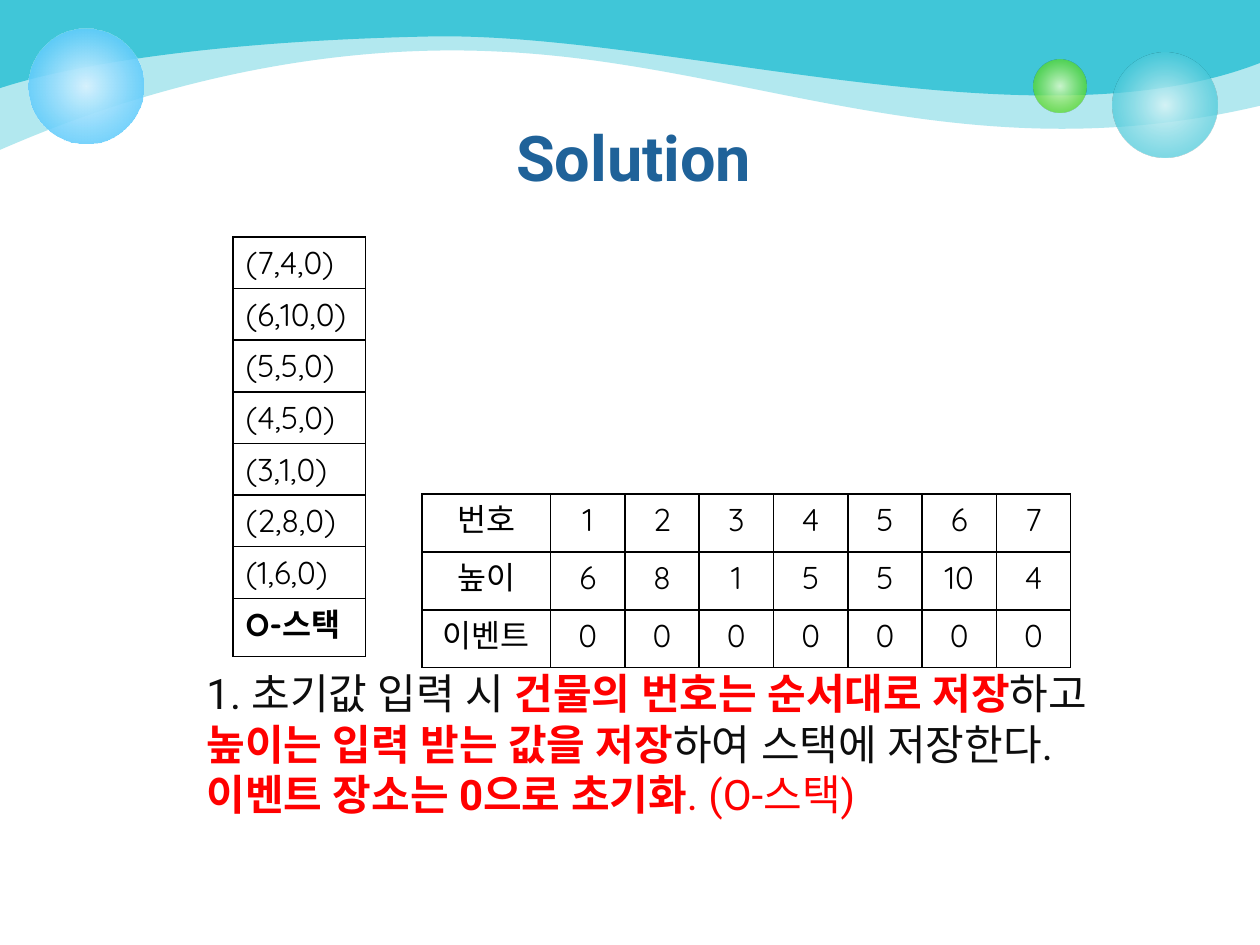
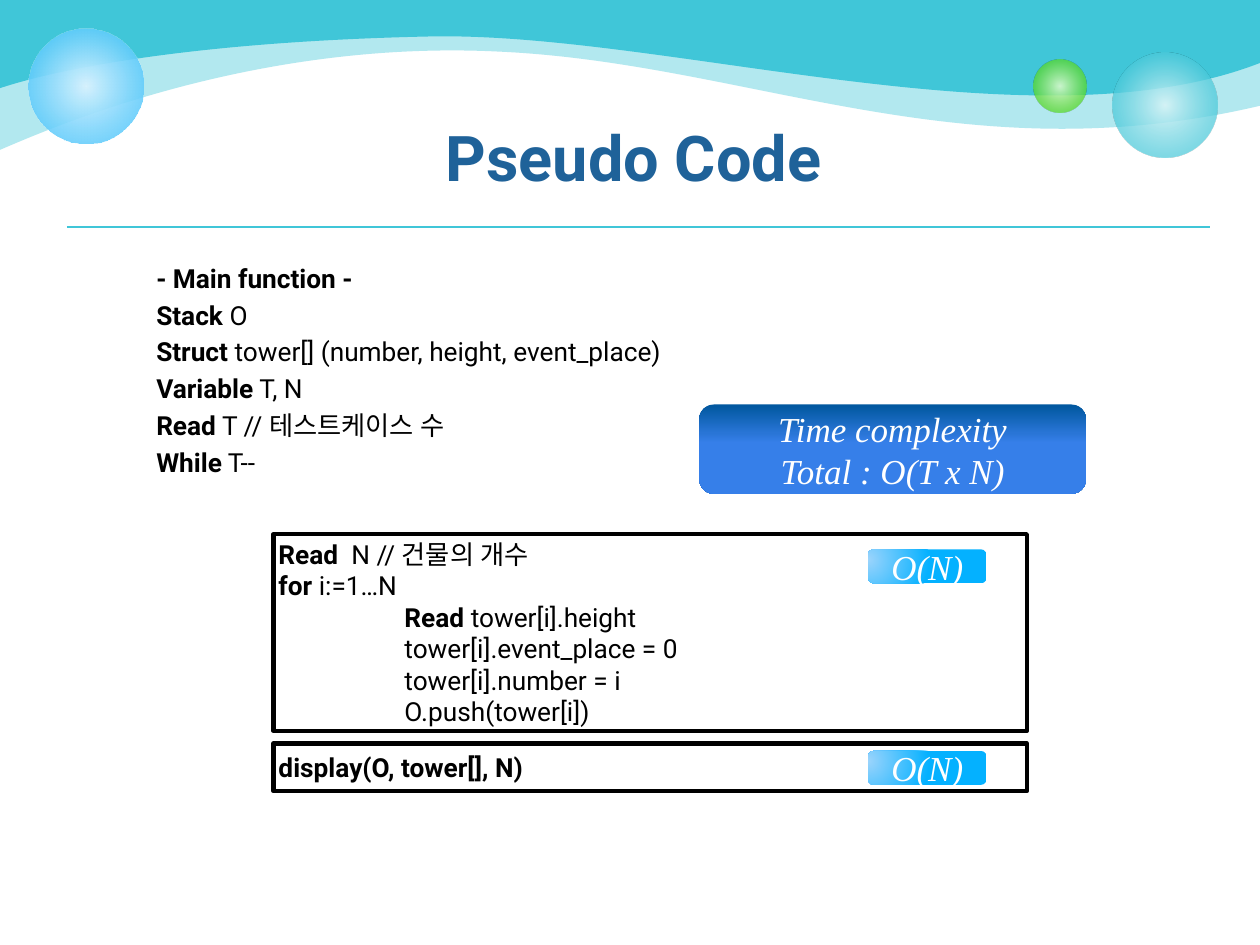
from lxml import etree
from pptx import Presentation
from pptx.dml.color import RGBColor
from pptx.enum.shapes import MSO_CONNECTOR, MSO_SHAPE
from pptx.enum.text import MSO_ANCHOR, PP_ALIGN
from pptx.oxml.ns import qn
from pptx.util import Inches, Pt

OVAL, RECT, ROUNDED = MSO_SHAPE.OVAL, MSO_SHAPE.RECTANGLE, MSO_SHAPE.ROUNDED_RECTANGLE
STRAIGHT = MSO_CONNECTOR.STRAIGHT
LEFT, CENTER = PP_ALIGN.LEFT, PP_ALIGN.CENTER
TOP, MIDDLE = MSO_ANCHOR.TOP, MSO_ANCHOR.MIDDLE

TEAL, TITLE_BLUE = "40C6D8", "1F6299"
BLACK, INK, RED, WHITE = "000000", "0D0D0D", "FF0000", "FFFFFF"
SANS, ROUND, SERIF = "Roboto", "Quicksand", "Times New Roman"

BACK_WAVE = [(0, 1.19), (0.33, 1.05), (1.97, 0.31), (3.96, 0.41),
             (5.95, 0.5), (7.62, 1.4), (10, 0.84)]
FRONT_WAVE = [(0, 0.7), (0.45, 0.55), (1.53, 0.33), (3.41, 0.29),
              (5.29, 0.25), (8.2, 1.2), (10, 0.5)]
BUBBLES = [
    (8.83, 0.42, 0.83, [(0, "D9F4F7", 90), (76, TEAL, 70)]),
    (8.2, 0.47, 0.42, [(0, "DAFACD", 90), (76, "4CD416", 70)]),
    (0.23, 0.23, 0.91, [(0, "D6F2FE", 100), (100, "33BDFB", 80)]),
]
BUTTON_STOPS = [(0, "00579E", 100), (43, "367FE9", 100), (100, "367FE9", 100)]
BADGE_STOPS = [(0, "9BD4FC", 100), (100, "04B1FF", 100)]

HEIGHTS = [6, 8, 1, 5, 5, 10, 4]
NUMBERS = range(1, len(HEIGHTS) + 1)


def rgb(value):
    return RGBColor.from_string(value)


def inches(box):
    return [Inches(length) for length in box]


def child(parent, tag, **attributes):
    node = etree.SubElement(parent, qn(tag))
    for key, value in attributes.items():
        node.set(key, str(value))
    return node


def add_color(parent, color, opacity):
    node = child(parent, "a:srgbClr", val=color)
    if opacity < 100:
        child(node, "a:alpha", val=opacity * 1000)


def set_font(paragraph, name, size, color, bold=False, italic=False):
    font = paragraph.font
    font.name, font.size = name, Pt(size)
    font.bold, font.italic = bold, italic
    font.color.rgb = rgb(color)
    child(paragraph._p.pPr.find(qn("a:defRPr")), "a:ea", typeface=name)


def set_gradient(shape, stops, focus=None):
    shape.fill.background()
    properties = shape.element.spPr
    empty_fill = properties.find(qn("a:noFill"))
    gradient = etree.Element(qn("a:gradFill"), rotWithShape="1")
    stop_list = child(gradient, "a:gsLst")
    for position, color, opacity in stops:
        add_color(child(stop_list, "a:gs", pos=position * 1000), color, opacity)
    if focus:
        circle = child(gradient, "a:path", path="circle")
        edges = {side: share * 1000 for side, share in zip("ltrb", focus)}
        child(circle, "a:fillToRect", **edges)
    else:
        child(gradient, "a:lin", ang=90 * 60000, scaled=0)
    properties.replace(empty_fill, gradient)


def add_plain_shape(slide, kind, box):
    shape = slide.shapes.add_shape(kind, *inches(box))
    shape.shadow.inherit = False
    shape.line.fill.background()
    return shape


def curve_segments(shape, count):
    segments = list(shape.element.spPr.iter(qn("a:lnTo")))[:3 * count]
    for start in range(0, len(segments), 3):
        trio = segments[start:start + 3]
        curve = etree.Element(qn("a:cubicBezTo"))
        trio[0].addprevious(curve)
        for segment in trio:
            curve.append(segment[0])
            segment.getparent().remove(segment)


def add_wave(slide, curve, opacity):
    builder = slide.shapes.build_freeform(0, 0)
    builder.add_line_segments([inches(point) for point in [*curve[::-1], (0, 0)]][:0] or
                              [inches(point) for point in [*curve, (10, 0)]])
    wave = builder.convert_to_shape()
    first_edge = next(wave.element.spPr.iter(qn("a:lnTo")))
    first_edge.tag = qn("a:moveTo")
    origin = first_edge.getprevious()
    origin.tag = qn("a:lnTo")
    wave.element.spPr.find(".//" + qn("a:close")).addprevious(origin)
    curve_segments(wave, len(curve) // 3)
    wave.shadow.inherit = False
    wave.line.fill.background()
    wave.fill.solid()
    wave.fill.fore_color.rgb = rgb(TEAL)
    if opacity < 100:
        color = wave.element.spPr.find(qn("a:solidFill"))[0]
        child(color, "a:alpha", val=opacity * 1000)
    return wave


def add_bubble(slide, left, top, size, stops):
    bubble = add_plain_shape(slide, OVAL, (left, top, size, size))
    set_gradient(bubble, stops, (50, 50, 50, 50))
    return bubble


def decorate_master(master, slide):
    decorations = [add_wave(slide, BACK_WAVE, 40), add_wave(slide, FRONT_WAVE, 100)]
    decorations += [add_bubble(slide, *bubble) for bubble in BUBBLES]
    tree = master.element.cSld.spTree
    for order, shape in enumerate(decorations):
        shape.element.nvSpPr.cNvPr.set("id", str(100 + order))
        tree.insert(2 + order, shape.element)


def set_title(slide, text, height):
    title = slide.shapes.title
    title.left, title.top, title.width, title.height = inches((0.53, 0.89, 9, height))
    title.text_frame.text = text
    title.text_frame.vertical_anchor = TOP
    paragraph = title.text_frame.paragraphs[0]
    paragraph.alignment = CENTER
    set_font(paragraph, SANS, 36, TITLE_BLUE, bold=True)


def add_lines(frame, lines, gap=0):
    for index, (keyword, rest, indent) in enumerate(lines):
        paragraph = frame.paragraphs[0] if index == 0 else frame.add_paragraph()
        paragraph.alignment = LEFT
        paragraph.space_before = Pt(gap if index else 0)
        properties = paragraph._p.get_or_add_pPr()
        properties.set("marL", str(Inches(indent)))
        properties.set("indent", "0")
        child(properties, "a:buNone")
        set_font(paragraph, SANS, 15, BLACK)
        for text, bold in ((keyword, True), (rest, False)):
            if text:
                run = paragraph.add_run()
                run.text, run.font.bold = text, bold


def set_cell(cell, text, alignment, bold):
    cell.fill.background()
    cell.text = text
    paragraph = cell.text_frame.paragraphs[0]
    paragraph.alignment = alignment
    set_font(paragraph, ROUND, 18, BLACK, bold=bold)
    properties = cell._tc.get_or_add_tcPr()
    for order, side in enumerate(("a:lnL", "a:lnR", "a:lnT", "a:lnB")):
        border = etree.Element(qn(side), w=str(Pt(1)))
        add_color(child(border, "a:solidFill"), BLACK, 100)
        properties.insert(order, border)


def add_grid(slide, left, top, rows, widths, row_heights, alignment, bold_last=False):
    box = inches((left, top, sum(widths), sum(row_heights)))
    table = slide.shapes.add_table(len(rows), len(widths), *box).table
    table.first_row = table.horz_banding = False
    for column, width in zip(table.columns, widths):
        column.width = Inches(width)
    for row_index, (values, row_height) in enumerate(zip(rows, row_heights)):
        table.rows[row_index].height = Inches(row_height)
        bold = bold_last and row_index == len(rows) - 1
        for column_index, value in enumerate(values):
            set_cell(table.cell(row_index, column_index), str(value), alignment, bold)


def add_explanation(slide, box):
    frame = slide.shapes.add_textbox(*inches(box)).text_frame
    frame.word_wrap = True
    paragraph = frame.paragraphs[0]
    set_font(paragraph, SANS, 24, INK)
    for text, color, bold in [
        ("1. 초기값 입력 시 ", INK, False),
        ("건물의 번호는 순서대로 저장", RED, True),
        ("하고 ", INK, False),
        ("높이는 입력 받는 값을 저장", RED, True),
        ("하여 스택에 저장한다. ", INK, False),
        ("이벤트 장소는 0으로 초기화", RED, True),
        (". (O-스택)", RED, False),
    ]:
        run = paragraph.add_run()
        run.text, run.font.bold = text, bold
        run.font.color.rgb = rgb(color)


def add_code_frame(slide, box, lines):
    code = add_plain_shape(slide, RECT, box)
    code.fill.background()
    code.line.color.rgb = rgb(BLACK)
    code.line.width = Pt(2.5)
    frame = code.text_frame
    frame.word_wrap = True
    frame.vertical_anchor = MIDDLE
    frame.margin_left = frame.margin_right = Inches(0.04)
    frame.margin_top = frame.margin_bottom = Inches(0.04)
    add_lines(frame, lines)


def add_complexity(slide, box, text, stops, focus=None):
    label = add_plain_shape(slide, ROUNDED, box)
    set_gradient(label, stops, focus)
    frame = label.text_frame
    frame.word_wrap = True
    frame.vertical_anchor = MIDDLE
    frame.text = text
    for paragraph in frame.paragraphs:
        paragraph.alignment = CENTER
        set_font(paragraph, SERIF, 20, WHITE, italic=True)


def add_badge(slide, left, top):
    add_complexity(slide, (left, top, 0.94, 0.27), "O(N)", BADGE_STOPS, (0, 30, 100, 70))


def add_rule(slide, left, right, top):
    rule = slide.shapes.add_connector(STRAIGHT, *inches((left, top, right, top)))
    rule.line.color.rgb = rgb(TEAL)
    rule.line.width = Pt(0.9)
    child(rule.element.spPr, "a:effectLst")


def build_solution(slide):
    set_title(slide, "Solution", 0.79)
    add_explanation(slide, (1.54, 5.25, 7.78, 1.39))
    stack = [[f"({number},{height},0)"] for number, height in zip(NUMBERS, HEIGHTS)]
    add_grid(slide, 1.85, 1.88, stack[::-1] + [["O-스택"]], [1.05],
             [0.41] * len(stack) + [0.46], LEFT, True)
    buildings = [["번호", *NUMBERS], ["높이", *HEIGHTS], ["이벤트", *[0] * len(HEIGHTS)]]
    add_grid(slide, 3.35, 3.92, buildings, [1.02] + [0.59] * len(HEIGHTS),
             [0.46] * len(buildings), CENTER)


def build_pseudo_code(slide):
    set_title(slide, "Pseudo Code", 0.91)
    add_rule(slide, 0.53, 9.6, 1.8)
    declarations = slide.placeholders[1]
    declarations.left, declarations.top, declarations.width, declarations.height = inches(
        (1.14, 2.03, 7.72, 5.2))
    add_lines(declarations.text_frame, [
        ("- Main function -", "", 0),
        ("Stack", " O", 0),
        ("Struct", " tower[] (number, height, event_place)", 0),
        ("Variable", " T, N", 0),
        ("Read", " T // 테스트케이스 수", 0),
        ("While", " T--", 0),
    ], gap=3)
    add_code_frame(slide, (2.17, 4.24, 5.98, 1.56), [
        ("Read", "  N // 건물의 개수", 0),
        ("for", " i:=1…N", 0),
        ("Read", " tower[i].height", 1),
        ("", "tower[i].event_place = 0", 1),
        ("", "tower[i].number = i", 1),
        ("", "O.push(tower[i])", 1),
    ])
    add_badge(slide, 6.89, 4.36)
    add_complexity(slide, (5.55, 3.21, 3.07, 0.71),
                   "Time complexity\nTotal : O(T x N)", BUTTON_STOPS)
    add_code_frame(slide, (2.17, 5.9, 5.98, 0.38), [("display(O, tower[], N)", "", 0)])
    add_badge(slide, 6.89, 5.96)


def main():
    deck = Presentation()
    deck.slide_width, deck.slide_height = inches((10, 7.5))
    solution = deck.slides.add_slide(deck.slide_layouts[5])
    decorate_master(deck.slide_master, solution)
    build_solution(solution)
    build_pseudo_code(deck.slides.add_slide(deck.slide_layouts[1]))
    deck.save("out.pptx")


if __name__ == "__main__":
    main()
